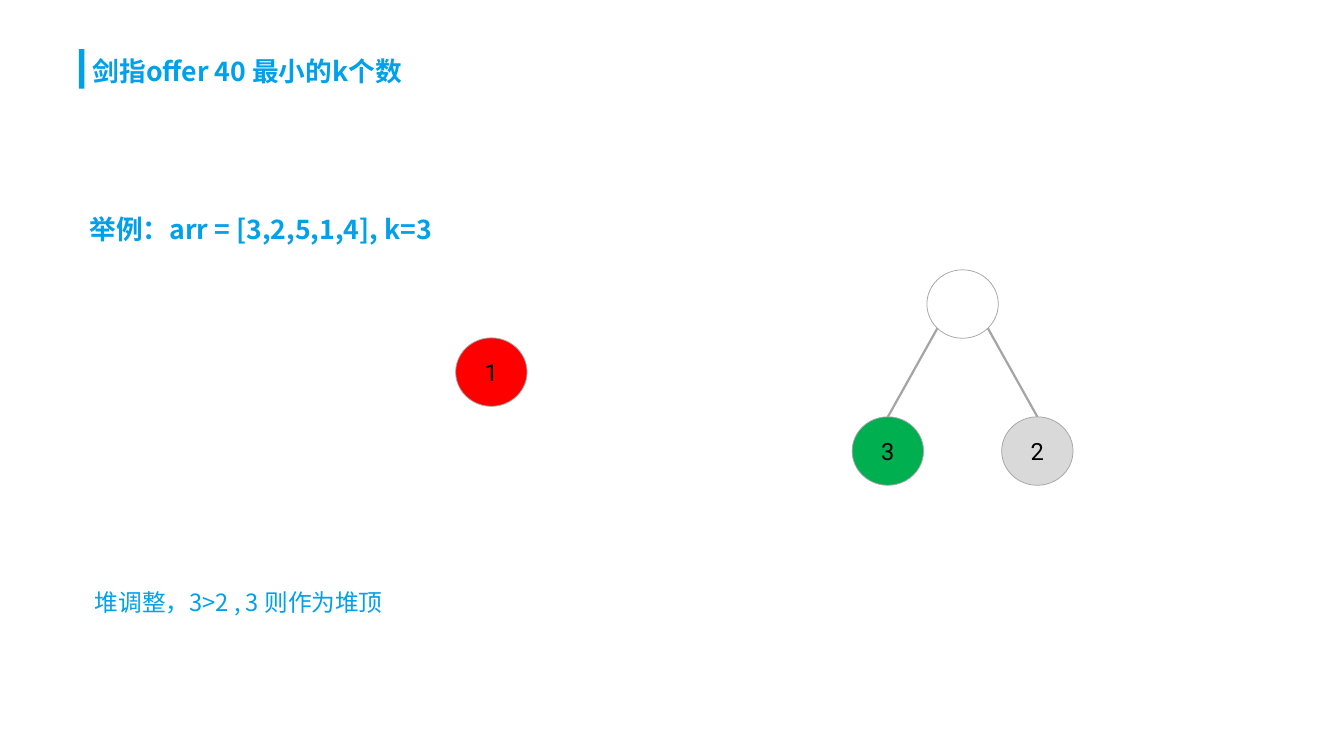
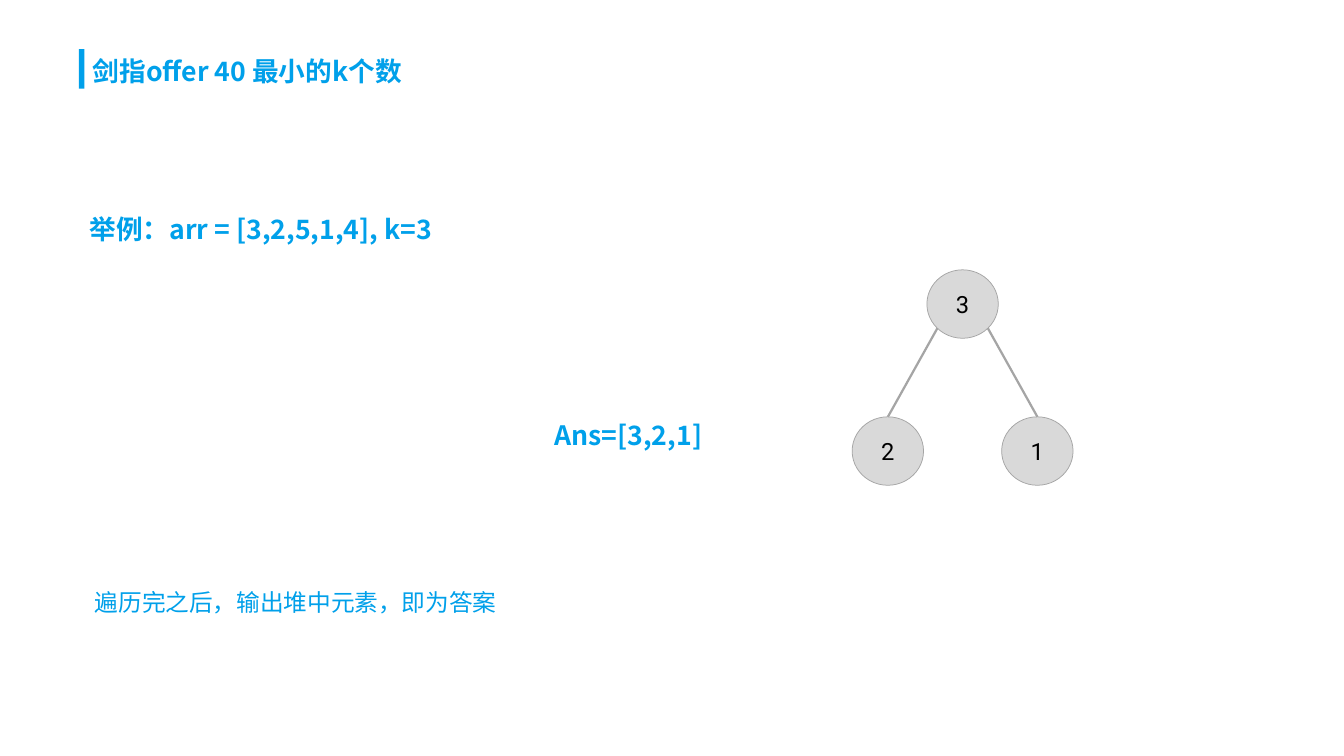
from math import sqrt

from lxml.etree import SubElement
from pptx import Presentation
from pptx.dml.color import RGBColor
from pptx.enum.shapes import MSO_CONNECTOR, MSO_SHAPE
from pptx.enum.text import MSO_ANCHOR, MSO_AUTO_SIZE, PP_ALIGN
from pptx.oxml.ns import qn
from pptx.util import Cm, Pt

# Content
TITLE = "剑指offer 40 最小的k个数"
EXAMPLE = "举例：arr = [3,2,5,1,4], k=3"
STEPS = [
    {
        "heap": [("", None), ("3", "green"), ("2", "grey")],
        "incoming": ("1", "red"),
        "note": "堆调整，3>2 , 3 则作为堆顶",
    },
    {
        "heap": [("3", "grey"), ("2", "grey"), ("1", "grey")],
        "answer": "Ans=[3,2,1]",
        "note": "遍历完之后，输出堆中元素，即为答案",
    },
]

# Shared style
COLORS = {
    "blue": "00A0EA", "green": "00B050", "red": "FF0000",
    "grey": "D9D9D9", "outline": "A5A5A5", "black": "000000",
}
TITLE_FONT, BODY_FONT, NODE_FONT = "Noto Sans CJK JP", "Noto Sans CJK SC", "Roboto"
BODY_INSETS = (0.25, 0, 0.25, 0.43)

# Layout in centimetres: boxes are left, top, width, height
TITLE_BOX = (1.96, 1.17, 15.98, 1.02)
BAR_BOX = (1.88, 1.17, 0.13, 0.94)
EXAMPLE_BOX = (1.88, 5.05, 12.85, 1.22)
NOTE_BOX = (2.01, 14.0, 19.13, 1.12)
ANSWER_BOX = (12.95, 9.96, 4.78, 1.22)
NODE_W, NODE_H = 1.7, 1.63
ROOT_X, ROOT_Y = 22.92, 7.24
CHILD_DX, CHILD_DY = 1.78, 3.5
INCOMING_CENTER = (11.7, 8.86)


def color(key):
    return RGBColor.from_string(COLORS[key])


def lengths(values):
    return [Cm(value) for value in values]


def add_run(paragraph, text, font_name, size, ink, bold=False):
    run = paragraph.add_run()
    run.text = text
    run.font.name, run.font.size, run.font.bold = font_name, Pt(size), bold
    run.font.color.rgb = color(ink)
    SubElement(run.font._element, qn("a:ea")).set("typeface", font_name)


def add_text(slide, box, text, size=18, bold=True, font_name=BODY_FONT,
             insets=BODY_INSETS, anchor=MSO_ANCHOR.MIDDLE):
    frame = slide.shapes.add_textbox(*lengths(box)).text_frame
    frame.word_wrap = True
    frame.auto_size = MSO_AUTO_SIZE.SHAPE_TO_FIT_TEXT
    frame.vertical_anchor = anchor
    (frame.margin_left, frame.margin_top,
     frame.margin_right, frame.margin_bottom) = lengths(insets)
    add_run(frame.paragraphs[0], text, font_name, size, "blue", bold)


def add_header(slide):
    add_text(slide, TITLE_BOX, TITLE, font_name=TITLE_FONT,
             insets=(0.25, 0.13, 0.25, 0.13), anchor=MSO_ANCHOR.TOP)
    bar = slide.shapes.add_shape(MSO_SHAPE.RECTANGLE, *lengths(BAR_BOX))
    bar.shadow.inherit = False
    bar.fill.solid()
    bar.fill.fore_color.rgb = color("blue")
    bar.line.fill.background()


def add_node(slide, center, label, fill):
    x, y = center
    box = (x - NODE_W / 2, y - NODE_H / 2, NODE_W, NODE_H)
    node = slide.shapes.add_shape(MSO_SHAPE.OVAL, *lengths(box))
    node.shadow.inherit = False
    node.line.color.rgb = color("outline")
    node.line.width = Pt(0.5)
    if fill:
        node.fill.solid()
        node.fill.fore_color.rgb = color(fill)
    else:
        node.fill.background()
    if label:
        node.text_frame.vertical_anchor = MSO_ANCHOR.MIDDLE
        paragraph = node.text_frame.paragraphs[0]
        paragraph.alignment = PP_ALIGN.CENTER
        add_run(paragraph, label, NODE_FONT, 16, "black")


def add_edge(slide, side):
    # From the top of a child to the root's rim at 45 degrees
    ends = (ROOT_X + side * CHILD_DX, ROOT_Y + CHILD_DY - NODE_H / 2,
            ROOT_X + side * NODE_W / 2 / sqrt(2), ROOT_Y + NODE_H / 2 / sqrt(2))
    edge = slide.shapes.add_connector(MSO_CONNECTOR.STRAIGHT, *lengths(ends))
    edge.line.color.rgb = color("outline")
    edge.line.width = Pt(1.5)
    SubElement(edge._element.spPr, qn("a:effectLst"))


def add_heap(slide, nodes):
    centers = [(ROOT_X, ROOT_Y)]
    centers += [(ROOT_X + side * CHILD_DX, ROOT_Y + CHILD_DY) for side in (-1, 1)]
    for center, (label, fill) in zip(centers, nodes):
        add_node(slide, center, label, fill)
    for side in (-1, 1):
        add_edge(slide, side)


def add_step(deck, step):
    slide = deck.slides.add_slide(deck.slide_layouts[6])
    add_header(slide)
    add_heap(slide, step["heap"])
    add_text(slide, EXAMPLE_BOX, EXAMPLE)
    add_text(slide, NOTE_BOX, step["note"], size=16, bold=False)
    if "incoming" in step:
        add_node(slide, INCOMING_CENTER, *step["incoming"])
    if "answer" in step:
        add_text(slide, ANSWER_BOX, step["answer"])


def main():
    deck = Presentation()
    deck.slide_width, deck.slide_height = Cm(32), Cm(18)
    for step in STEPS:
        add_step(deck, step)
    deck.save("out.pptx")


if __name__ == "__main__":
    main()
